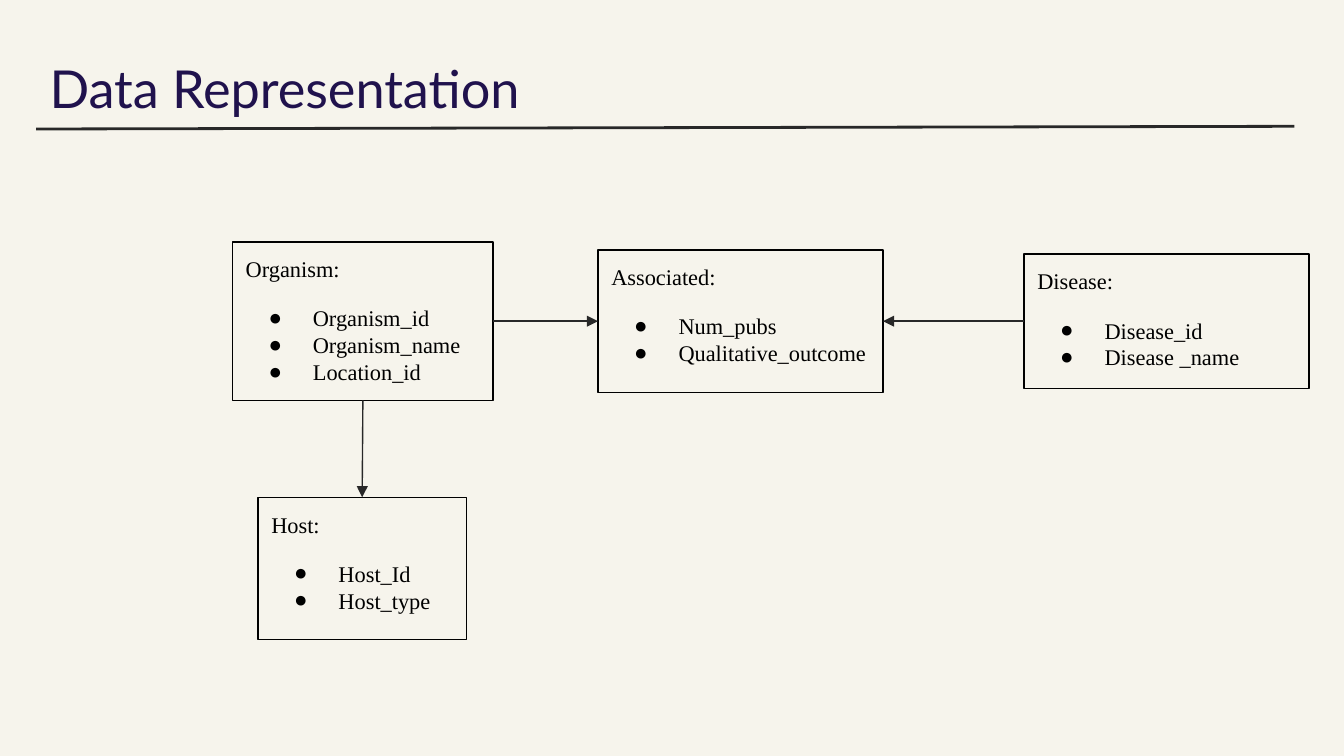
"""Build the Data Representation slide: four entity boxes joined by arrows."""
from lxml import etree
from pptx import Presentation
from pptx.dml.color import RGBColor
from pptx.enum.shapes import MSO_CONNECTOR, MSO_SHAPE
from pptx.enum.text import MSO_ANCHOR, PP_ALIGN
from pptx.oxml.ns import qn
from pptx.util import Inches, Pt

STRAIGHT = MSO_CONNECTOR.STRAIGHT
RECTANGLE = MSO_SHAPE.RECTANGLE
TOP = MSO_ANCHOR.TOP
LEFT = PP_ALIGN.LEFT

SLIDE_WIDTH = 10
SLIDE_HEIGHT = SLIDE_WIDTH * 9 / 16
COLORS = {"background": "F6F4EC", "title": "20124D", "line": "282828", "ink": "000000"}
TITLE = "Data Representation"
TITLE_FONT, BODY_FONT = "Lato", "Times New Roman"

ENTITIES = {
    "Disease": ((7.62, 1.89, 2.12, 1), ["Disease_id", "Disease _name"]),
    "Organism": ((1.73, 1.8, 1.94, 1.18), ["Organism_id", "Organism_name", "Location_id"]),
    "Associated": ((4.45, 1.86, 2.12, 1.06), ["Num_pubs", "Qualitative_outcome"]),
    "Host": ((1.92, 3.7, 1.55, 1.06), ["Host_Id", "Host_type"]),
}
SITES = {"top": 0, "left": 1, "bottom": 2, "right": 3}
ARROWS = [
    ("Organism", "right", "Associated", "left"),
    ("Disease", "left", "Associated", "right"),
    ("Organism", "bottom", "Host", "top"),
]


def color(name):
    return RGBColor.from_string(COLORS[name])


def set_font(paragraph, name, size, color_name):
    paragraph.font.name = name
    paragraph.font.size = Pt(size)
    paragraph.font.color.rgb = color(color_name)


def set_frame(frame):
    frame.word_wrap = True
    frame.vertical_anchor = TOP
    frame.margin_left = frame.margin_right = Inches(0.1)
    frame.margin_top = frame.margin_bottom = Inches(0.1)


def add_bullet(paragraph):
    properties = paragraph._p.get_or_add_pPr()
    properties.set("marL", str(Inches(0.5)))
    properties.set("indent", str(Inches(-0.33)))
    bullet_color = etree.SubElement(properties, qn("a:buClr"))
    etree.SubElement(bullet_color, qn("a:srgbClr"), val=COLORS["ink"])
    etree.SubElement(properties, qn("a:buFont"), typeface=BODY_FONT)
    etree.SubElement(properties, qn("a:buChar"), char="●")


def add_line(slide, start, end, width):
    line = slide.shapes.add_connector(STRAIGHT, *map(Inches, start + end))
    line.line.color.rgb = color("line")
    line.line.width = Pt(width)
    etree.SubElement(line._element.spPr, qn("a:effectLst"))
    return line


def add_title(slide):
    box = slide.shapes.add_textbox(*map(Inches, (0.27, 0.32, 5.01, 0.67)))
    set_frame(box.text_frame)
    paragraph = box.text_frame.paragraphs[0]
    paragraph.text = TITLE
    set_font(paragraph, TITLE_FONT, 28, "title")


def add_entity(slide, name, bounds, fields):
    shape = slide.shapes.add_shape(RECTANGLE, *map(Inches, bounds))
    shape.shadow.inherit = False
    shape.fill.background()
    shape.line.color.rgb = color("ink")
    shape.line.width = Pt(0.75)
    frame = shape.text_frame
    set_frame(frame)
    frame.text = "\n".join([f"{name}:"] + fields)
    for index, paragraph in enumerate(frame.paragraphs):
        paragraph.alignment = LEFT
        if index == 1:
            paragraph.space_before = Pt(12)
        if index:
            add_bullet(paragraph)
        set_font(paragraph, BODY_FONT, 12, "ink")
    return shape


def add_arrow(slide, source, source_side, target, target_side):
    arrow = add_line(slide, (0, 0), (0, 0), 0.75)
    arrow.begin_connect(source, SITES[source_side])
    arrow.end_connect(target, SITES[target_side])
    etree.SubElement(arrow.line._get_or_add_ln(), qn("a:tailEnd"), type="triangle")


def main():
    presentation = Presentation()
    presentation.slide_width = Inches(SLIDE_WIDTH)
    presentation.slide_height = Inches(SLIDE_HEIGHT)
    slide = presentation.slides.add_slide(presentation.slide_layouts[6])
    slide.background.fill.solid()
    slide.background.fill.fore_color.rgb = color("background")

    add_line(slide, (0.27, 0.96), (9.63, 0.94), 1.5)
    add_title(slide)
    boxes = {
        name: add_entity(slide, name, bounds, fields)
        for name, (bounds, fields) in ENTITIES.items()
    }
    for source, source_side, target, target_side in ARROWS:
        add_arrow(slide, boxes[source], source_side, boxes[target], target_side)
    presentation.save("out.pptx")


if __name__ == "__main__":
    main()
